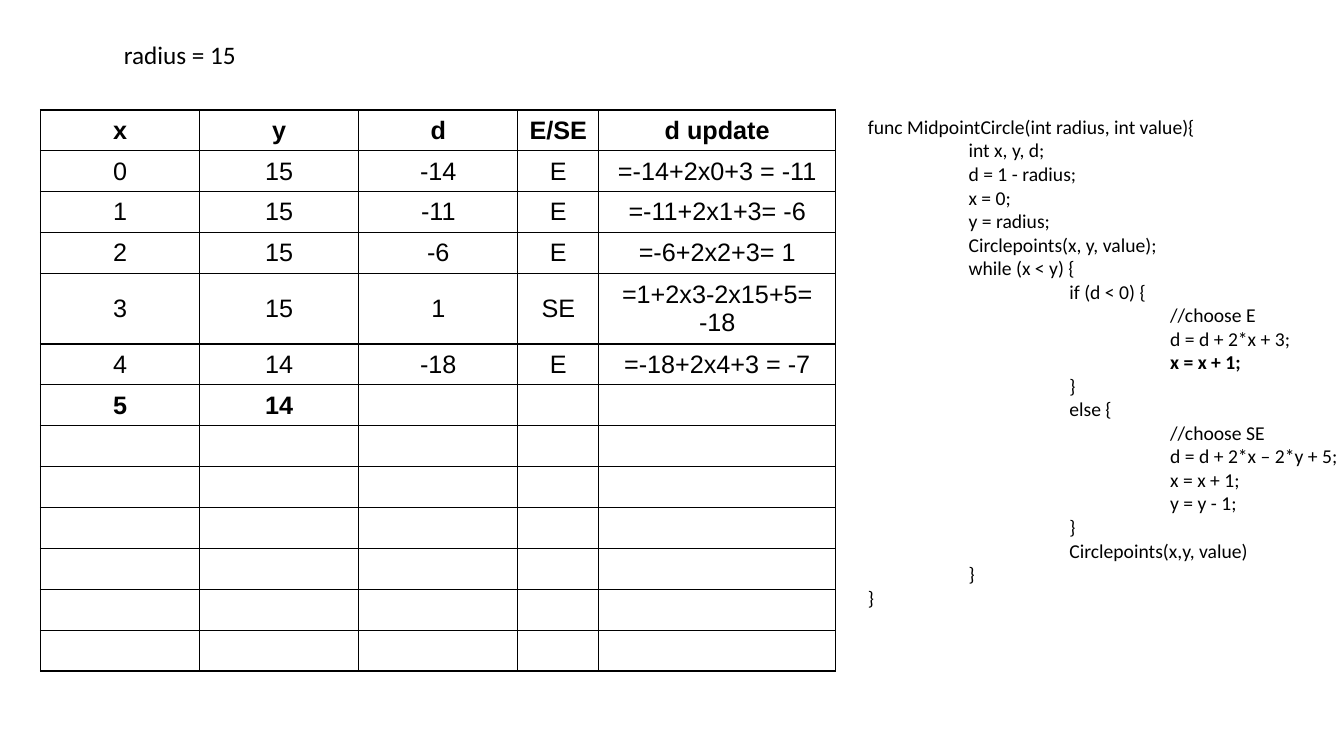
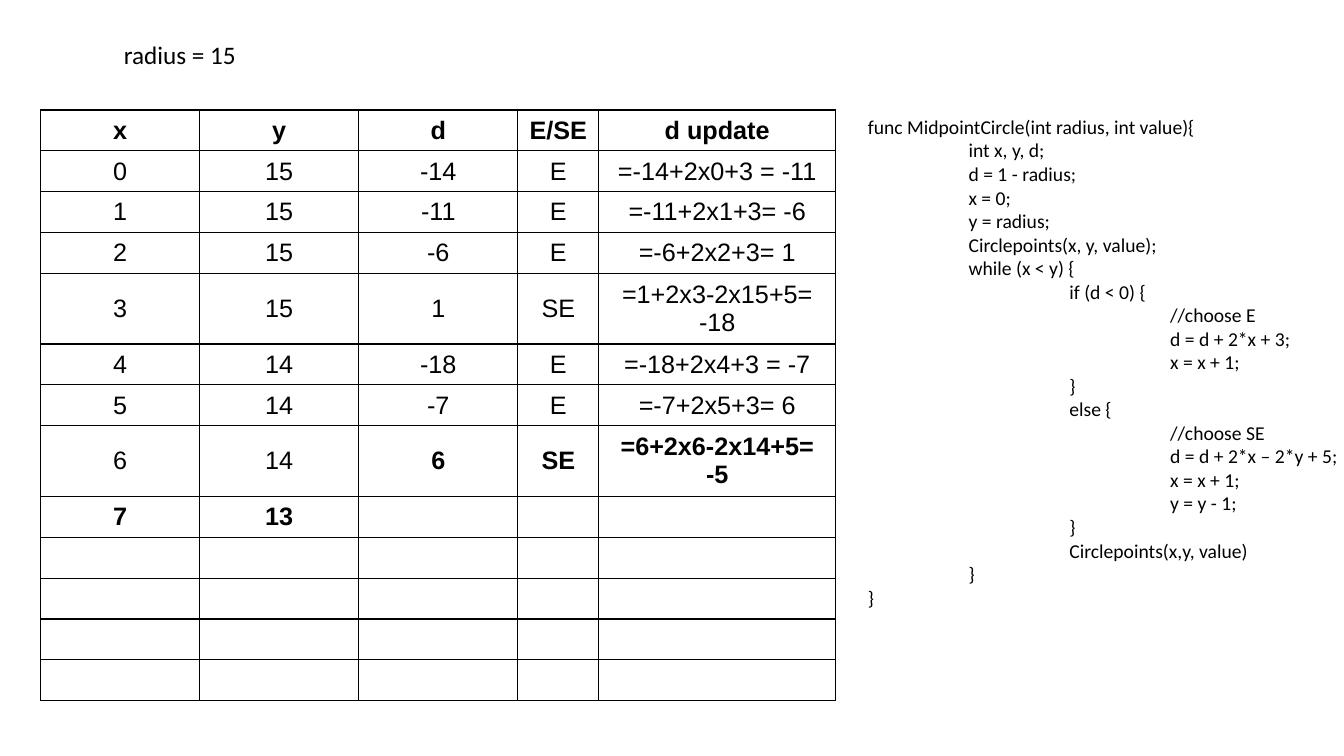
from lxml import etree
from pptx import Presentation
from pptx.dml.color import RGBColor
from pptx.enum.text import MSO_ANCHOR, MSO_AUTO_SIZE, PP_ALIGN
from pptx.oxml.ns import qn
from pptx.util import Cm, Pt

MIDDLE = MSO_ANCHOR.MIDDLE
CENTER = PP_ALIGN.CENTER
GROW = MSO_AUTO_SIZE.SHAPE_TO_FIT_TEXT

HEADER = ["x", "y", "d", "E/SE", "d update"]
FIRST_STEPS = [
    ["0", "15", "-14", "E", "=-14+2x0+3 = -11"],
    ["1", "15", "-11", "E", "=-11+2x1+3= -6"],
    ["2", "15", "-6", "E", "=-6+2x2+3= 1"],
    ["3", "15", "1", "SE", "=1+2x3-2x15+5= -18"],
    ["4", "14", "-18", "E", "=-18+2x4+3 = -7"],
]
NEXT_STEPS = [
    ["5", "14", "-7", "E", "=-7+2x5+3= 6"],
    ["6", "14", "6", "SE", "=6+2x6-2x14+5= -5"],
    ["7", "13"],
]
CODE = [
    (0, "func MidpointCircle(int radius, int value){"),
    (1, "int x, y, d;"),
    (1, "d = 1 - radius;"),
    (1, "x = 0;"),
    (1, "y = radius;"),
    (1, "Circlepoints(x, y, value);"),
    (1, "while (x < y) {"),
    (2, "if (d < 0) {"),
    (3, "//choose E"),
    (3, "d = d + 2*x + 3;"),
    (3, "x = x + 1;"),
    (2, "}"),
    (2, "else {"),
    (3, "//choose SE"),
    (3, "d = d + 2*x – 2*y + 5;"),
    (3, "x = x + 1;"),
    (3, "y = y - 1;"),
    (2, "}"),
    (2, "Circlepoints(x,y, value)"),
    (1, "}"),
    (0, "}"),
]
STEP_EAST_LINE = 10


def color(value):
    return RGBColor.from_string(value)


class CircleDeck:
    INK = "000000"
    BODY_FONT = "Calibri"
    TABLE_FONT = "Arial"
    INDENT = Cm(2.54)
    COLUMNS = [4.01, 4.01, 4.01, 2.04, 5.97]
    ROW_COUNT = 13
    ROW_HEIGHT = 1.03

    def __init__(self):
        self.deck = Presentation()
        self.deck.slide_width = Cm(33.87)
        self.deck.slide_height = Cm(19.05)
        self.page = None

    def add_page(self):
        self.page = self.deck.slides.add_slide(self.deck.slide_layouts[6])

    def add_span(self, para, text, size, font, bold=False):
        span = para.add_run()
        span.text = text
        span.font.size = Pt(size)
        span.font.name = font
        span.font.bold = bold
        span.font.color.rgb = color(self.INK)

    def add_box(self, left, top, width, height, wrap):
        box = self.page.shapes.add_textbox(Cm(left), Cm(top), Cm(width), Cm(height))
        box.text_frame.word_wrap = wrap
        box.text_frame.auto_size = GROW
        return box.text_frame

    def label(self, text):
        frame = self.add_box(2.87, 0.86, 3.38, 1.02, False)
        self.add_span(frame.paragraphs[0], text, 18, self.BODY_FONT)

    def code(self, lines, bold_line=None):
        frame = self.add_box(21.62, 2.77, 13, 13.41, True)
        for index, (level, text) in enumerate(lines):
            para = frame.add_paragraph() if index else frame.paragraphs[0]
            para._p.get_or_add_pPr().set("marL", str(level * self.INDENT))
            self.add_span(para, text, 14, self.BODY_FONT, index == bold_line)

    def cell_border(self, cell):
        properties = cell._tc.get_or_add_tcPr()
        for side in ("a:lnL", "a:lnR", "a:lnT", "a:lnB"):
            line = etree.SubElement(properties, qn(side), w=str(Pt(1)))
            fill = etree.SubElement(line, qn("a:solidFill"))
            etree.SubElement(fill, qn("a:srgbClr"), val=self.INK)

    def table(self, rows, bold_cells):
        frame = self.page.shapes.add_table(
            self.ROW_COUNT, len(self.COLUMNS), Cm(1.02), Cm(2.77),
            Cm(sum(self.COLUMNS)), Cm(self.ROW_COUNT * self.ROW_HEIGHT))
        table = frame.table
        table.first_row = False
        table.horz_banding = False
        for column, width in zip(table.columns, self.COLUMNS):
            column.width = Cm(width)
        for row in table.rows:
            row.height = Cm(self.ROW_HEIGHT)
        for cell in table.iter_cells():
            self.cell_border(cell)
            cell.fill.background()
            cell.vertical_anchor = MIDDLE
        for row, texts in enumerate(rows):
            for column, text in enumerate(texts):
                para = table.cell(row, column).text_frame.paragraphs[0]
                para.alignment = CENTER
                bold = row == 0 or (row, column) in bold_cells
                self.add_span(para, text, 18, self.TABLE_FONT, bold)

    def trace_page(self, steps, bold_cells, bold_line=None):
        self.add_page()
        self.code(CODE, bold_line)
        self.table([HEADER] + steps, bold_cells)
        self.label("radius = 15")


def main():
    circle = CircleDeck()
    circle.trace_page(FIRST_STEPS + [["5", "14"]], {(6, 0), (6, 1)}, STEP_EAST_LINE)
    circle.trace_page(FIRST_STEPS + NEXT_STEPS,
                      {(7, 2), (7, 3), (7, 4), (8, 0), (8, 1)})
    circle.deck.save("out.pptx")


if __name__ == "__main__":
    main()
